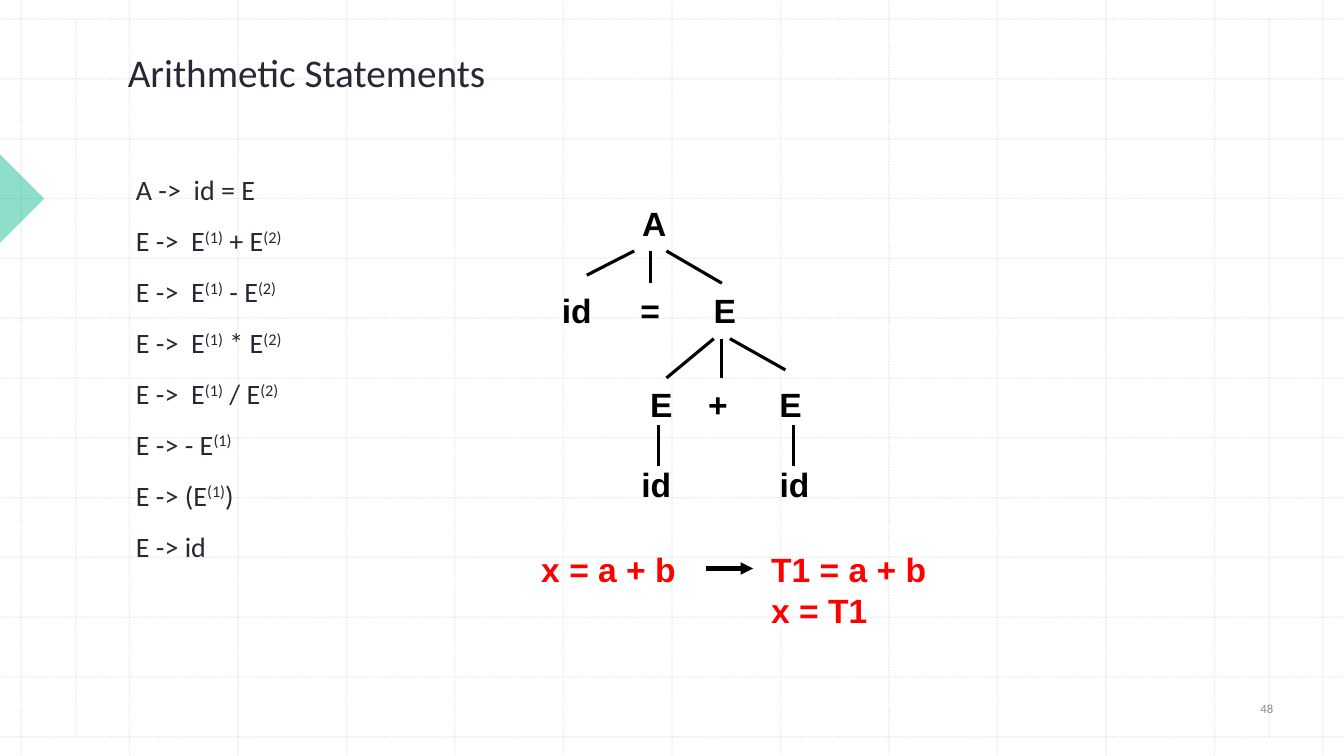
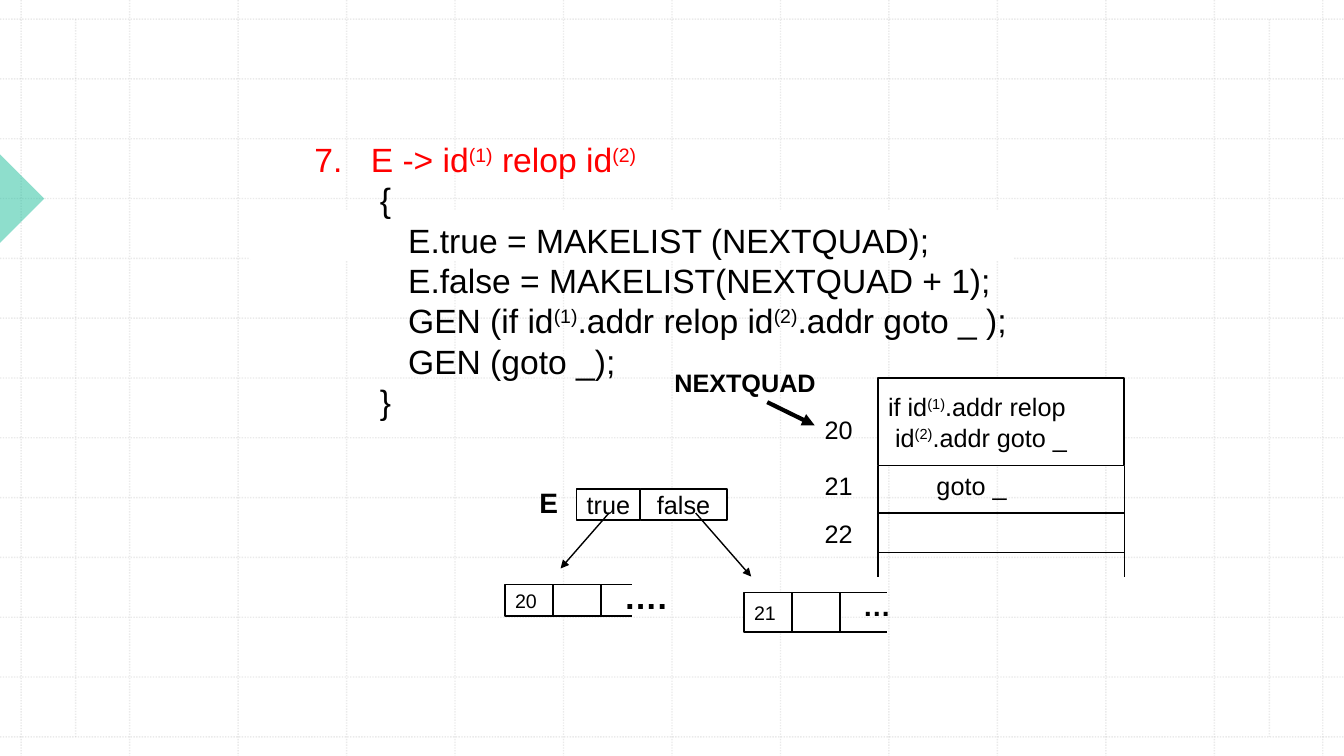
from dataclasses import dataclass

from lxml import etree
from pptx import Presentation
from pptx.dml.color import RGBColor
from pptx.enum.dml import MSO_LINE
from pptx.enum.shapes import MSO_CONNECTOR, MSO_SHAPE
from pptx.enum.text import MSO_ANCHOR, PP_ALIGN
from pptx.oxml.ns import qn
from pptx.util import Inches, Pt

STRAIGHT = MSO_CONNECTOR.STRAIGHT
RECTANGLE, TRIANGLE = MSO_SHAPE.RECTANGLE, MSO_SHAPE.RIGHT_TRIANGLE
LEFT, CENTER = PP_ALIGN.LEFT, PP_ALIGN.CENTER
TOP, MIDDLE, BOTTOM = MSO_ANCHOR.TOP, MSO_ANCHOR.MIDDLE, MSO_ANCHOR.BOTTOM
DOTTED = MSO_LINE.ROUND_DOT

WIDTH, HEIGHT = 13.33, 7.5
UNIT = 0.1  # side of one grid cell, in inches
BLACK, WHITE, RED = "000000", "FFFFFF", "FF0000"
INK, GREY, GRID_GREY, TEAL = "2A2735", "8C8C8C", "BCBCBC", "1EBE9B"

TITLE = {"name": "Calibri", "size": 28, "color": INK}
BODY = {"name": "Calibri", "size": 20, "color": INK}
NUMBER = {"name": "Calibri", "size": 9, "color": GREY}
PLAIN = {"name": "Arial", "size": 18, "color": BLACK}
CODE = PLAIN | {"size": 24}
SMALL = PLAIN | {"size": 14}
BOLD = PLAIN | {"bold": True}
NODE = BOLD | {"size": 24}
RESULT = NODE | {"color": RED}


def color(hex_string):
    return RGBColor.from_string(hex_string)


def set_opacity(shape, percent):
    for element in shape._element.spPr.iter(qn("a:srgbClr")):
        etree.SubElement(element, qn("a:alpha")).set("val", str(percent * 1000))


def write_paragraph(paragraph, text, style, align=LEFT, **spacing):
    """Write text; parts between ^ marks are raised."""
    paragraph.alignment = align
    for name, value in spacing.items():
        setattr(paragraph, name, value)
    for index, part in enumerate(text.split("^")):
        if not part:
            continue
        run = paragraph.add_run()
        run.text = part
        for name, value in style.items():
            if name == "color":
                run.font.color.rgb = color(value)
            else:
                setattr(run.font, name, Pt(value) if name == "size" else value)
        if index % 2:
            run.font._element.set("baseline", "30000")


def write_lines(frame, lines, style, align=LEFT, anchor=TOP, wrap=False, **spacing):
    frame.word_wrap = wrap
    frame.vertical_anchor = anchor
    for index, line in enumerate(lines):
        paragraph = frame.add_paragraph() if index else frame.paragraphs[0]
        write_paragraph(paragraph, line, style, align, **spacing)


@dataclass
class Region:
    """A part of a slide; places are columns and rows counted from its corner."""
    slide: object
    left: float = 0
    top: float = 0
    unit: float = UNIT

    def place(self, column, row):
        return Inches(self.left + column * self.unit), Inches(self.top + row * self.unit)

    def size(self, columns, rows):
        return Inches(columns * self.unit), Inches(rows * self.unit)

    def text(self, column, row, columns, rows, lines, style, **layout):
        box = self.slide.shapes.add_textbox(*self.place(column, row), *self.size(columns, rows))
        write_lines(box.text_frame, lines, style, **layout)
        return box

    def label(self, center, row, text, style):
        self.text(center - 2.5, row, 5, 5, [text], style, align=CENTER)

    def line(self, start, end, width=1, line_color=BLACK, arrow=False):
        connector = self.slide.shapes.add_connector(
            STRAIGHT, *self.place(*start), *self.place(*end))
        connector.line.width = Pt(width)
        connector.line.color.rgb = color(line_color)
        properties = connector._element.spPr
        if arrow:
            outline = properties.find(qn("a:ln"))
            etree.SubElement(outline, qn("a:tailEnd")).set("type", "triangle")
        etree.SubElement(properties, qn("a:effectLst"))
        return connector

    def shape(self, kind, column, row, columns, rows, fill=WHITE, outline=BLACK):
        shape = self.slide.shapes.add_shape(
            kind, *self.place(column, row), *self.size(columns, rows))
        shape.shadow.inherit = False
        shape.fill.solid()
        shape.fill.fore_color.rgb = color(fill)
        if outline:
            shape.line.color.rgb = color(outline)
            shape.line.width = Pt(1)
        else:
            shape.line.fill.background()
        return shape

    def cell(self, column, row, columns, rows, lines=(), style=PLAIN, align=LEFT):
        shape = self.shape(RECTANGLE, column, row, columns, rows)
        write_lines(shape.text_frame, lines, style, align, MIDDLE)


# What every slide shares
def draw_backdrop(slide):
    page = Region(slide, unit=1)
    first_x, last_x, first_y, last_y, gaps = 0.21, 13.12, 0.19, 7.31, 12
    ends = []
    for index in range(gaps + 1):
        x = first_x + index * (last_x - first_x) / gaps
        y = first_y + index * (last_y - first_y) / gaps
        ends += [((x, 0), (x, HEIGHT)), ((0, y), (WIDTH, y))]
    ends += [((x, first_y), (x, last_y)) for x in (0.75, 12.59)]
    for start, end in ends:
        line = page.line(start, end, line_color=GRID_GREY)
        line.line.dash_style = DOTTED
        set_opacity(line, 30)
    marker = page.shape(TRIANGLE, -0.31, 1.66, 0.62, 0.62, fill=TEAL, outline=None)
    marker.rotation = 225
    set_opacity(marker, 50)


def add_slide(presentation):
    slide = presentation.slides.add_slide(presentation.slide_layouts[6])
    draw_backdrop(slide)
    return slide


def draw_title(slide, text):
    Region(slide, 1.17, 0.21).text(0, 0, 85, 7.9, [text], TITLE, anchor=BOTTOM, wrap=True)


def draw_number(slide, number):
    Region(slide, 12.03, 6.8).text(
        0, 0, 10.7, 4.6, [number], NUMBER, align=CENTER, anchor=MIDDLE, wrap=True)


# Arithmetic statements
def draw_grammar(region):
    binary = [f"E ->  E^(1)^ {operator} E^(2)^" for operator in "+-*/"]
    rules = ["A ->  id = E", *binary, "E -> - E^(1)^", "E -> (E^(1)^)", "E -> id"]
    region.text(0, 0, 40, 52.5, rules, BODY, wrap=True,
                line_spacing=1.1, space_before=Pt(10))


def draw_parse_tree(region):
    levels = [
        (-0.4, [("A", 9.9)]),
        (8.3, [("id", 2.2), ("=", 9.5), ("E", 16.9)]),
        (17.6, [("E", 10.6), ("+", 16.2), ("E", 23.4)]),
        (25.5, [("id", 10.1), ("id", 23.8)]),
    ]
    for row, nodes in levels:
        for text, center in nodes:
            region.label(center, row, text, NODE)
    branches = [
        ((7.9, 4.9), (3.2, 7.3)), ((9.5, 4.9), (9.5, 8.1)), ((11.1, 4.9), (16.6, 8.1)),
        ((15.8, 13.6), (11.1, 17.5)), ((16.6, 13.6), (16.6, 17.5)),
        ((17.4, 13.6), (22.9, 16.7)),
        ((10.3, 22.2), (10.3, 26.2)), ((23.7, 22.2), (23.7, 26.2)),
    ]
    for start, end in branches:
        region.line(start, end, 2.25)


def draw_translation(region):
    region.text(0, 0, 17, 5, ["x = a + b"], RESULT)
    region.line((17.3, 2.4), (22, 2.4), 3, arrow=True)
    region.text(22.8, 0, 19, 9.1, ["T1 = a + b", "x = T1"], RESULT)


# Relational expression
def draw_rule(region):
    lines = [
        (0.56, "7.\tE -> id^(1)^ relop id^(2)^"),
        (0.65, "{"),
        (0.93, "E.true = MAKELIST (NEXTQUAD);"),
        (0.93, "E.false = MAKELIST(NEXTQUAD + 1);"),
        (0.93, "GEN (if id^(1)^.addr relop id^(2)^.addr goto _ );"),
        (0.93, "GEN (goto _);"),
        (0.65, "}"),
    ]
    region.shape(RECTANGLE, -5.3, 7.7, 75.6, 4.7, outline=WHITE)
    frame = region.text(0, 0, 72, 33.3, [], CODE, wrap=True).text_frame
    for index, (indent, text) in enumerate(lines):
        paragraph = frame.add_paragraph() if index else frame.paragraphs[0]
        write_paragraph(paragraph, text, CODE if index else CODE | {"color": RED})
        properties = paragraph._p.get_or_add_pPr()
        properties.set("marL", str(Inches(indent)))
        if not index:
            properties.set("indent", str(-Inches(indent)))


def draw_expression(region):
    region.text(0, -0.8, 3.9, 4.3, ["E"], BOLD | {"size": 20})
    region.cell(4.7, 0, 6.3, 3.1, ["true"], align=CENTER)
    region.cell(11, 0, 8.6, 3.1, ["false"], align=CENTER)
    for start, end in [((7.9, 2.4), (3.1, 7.9)), ((16.5, 2.4), (22, 8.7))]:
        region.line(start, end, arrow=True)


def draw_list(region, number, rows, tail):
    """Two cells and an open end."""
    columns = 4.75
    for index, lines in enumerate(([number], [])):
        region.cell(index * columns, 0, columns, rows, lines, SMALL)
    for row in (0, rows):
        region.line((2 * columns, row), (2 * columns + tail, row))


def draw_quads(region):
    columns, first_rows, last_row = 24.4, 8.7, 19.7
    region.cell(0, 0, columns, first_rows,
                ["if id^(1)^.addr relop", " id^(2)^.addr goto _"])
    for row in (13.4, 17.3):
        region.line((0, row), (columns, row))
    for column in (0, columns):
        region.line((column, first_rows), (column, last_row))
    region.text(4.8, first_rows, 10, 4, ["goto _"], PLAIN)
    for number, row in (("20", 3.1), ("21", 8.7), ("22", 13.4)):
        region.text(-6.3, row, 5.5, 4, [number], PLAIN)
    region.text(-21.2, -1.6, 17, 4, ["NEXTQUAD"], BOLD)
    region.line((-11, 2.4), (-6.3, 4.7), 3, arrow=True)


def build_arithmetic_slide(presentation):
    slide = add_slide(presentation)
    draw_number(slide, "48")
    draw_title(slide, "Arithmetic Statements")
    draw_grammar(Region(slide, 1.25, 1.63))
    draw_parse_tree(Region(slide, 5.5, 2))
    draw_translation(Region(slide, 5.27, 5.4))


def build_relational_slide(presentation):
    slide = add_slide(presentation)
    draw_rule(Region(slide, 3.02, 1.33))
    draw_expression(Region(slide, 5.25, 4.85))
    draw_quads(Region(slide, 8.71, 3.75))
    true_list, false_list = Region(slide, 5.01, 5.8), Region(slide, 7.38, 5.88)
    draw_list(true_list, "20", 3.1, 3.1)
    draw_list(false_list, "21", 3.9, 4.7)
    true_list.text(10.8, -1.4, 7, 5, ["…."], NODE)
    false_list.text(10.8, -0.9, 5.5, 4.3, ["…"], BOLD | {"size": 20})


def main():
    presentation = Presentation()
    presentation.slide_width, presentation.slide_height = Inches(WIDTH), Inches(HEIGHT)
    build_arithmetic_slide(presentation)
    build_relational_slide(presentation)
    presentation.save("out.pptx")


if __name__ == "__main__":
    main()
